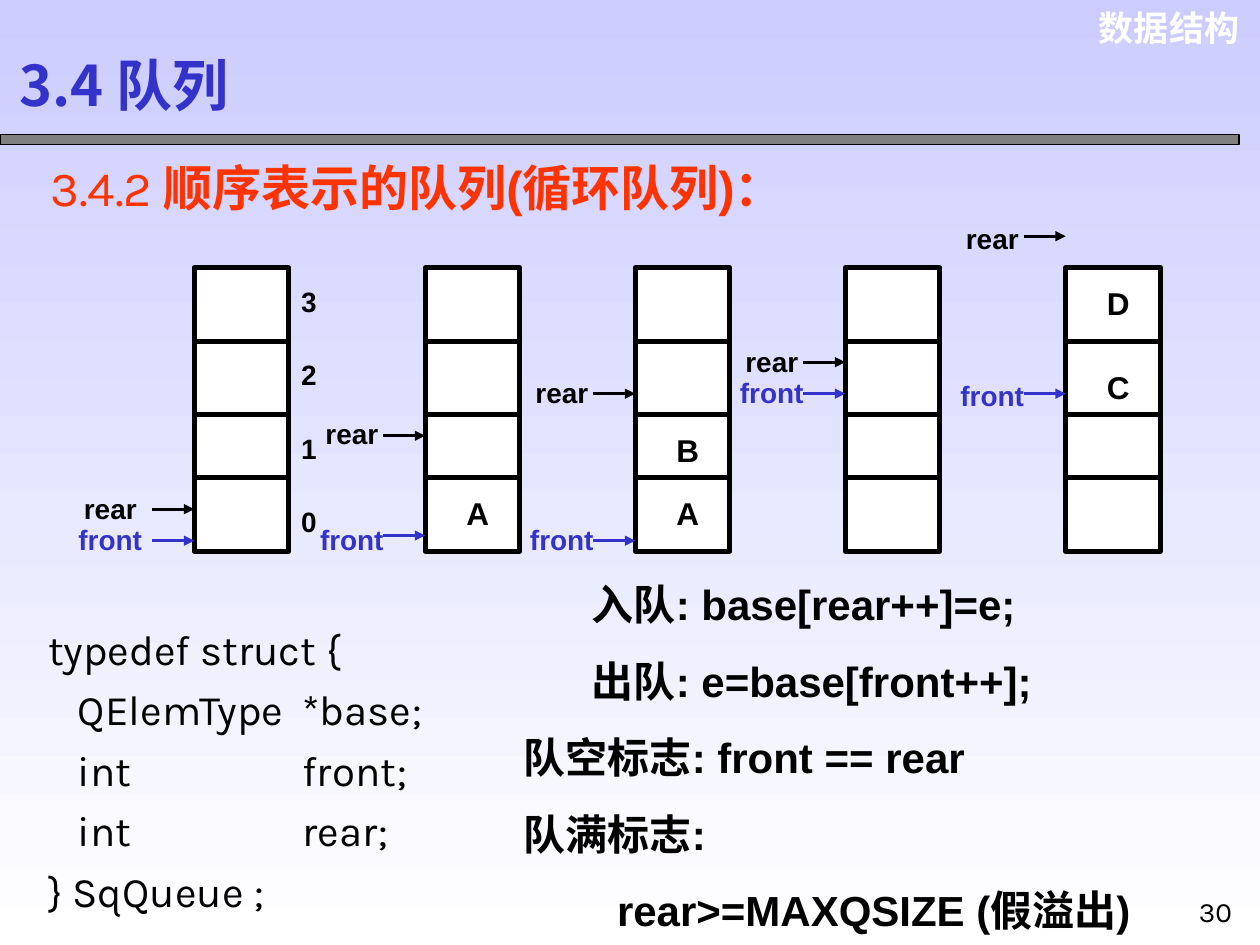
from dataclasses import dataclass

from lxml import etree
from pptx import Presentation
from pptx.dml.color import RGBColor
from pptx.enum.shapes import MSO_CONNECTOR, MSO_SHAPE
from pptx.enum.text import MSO_ANCHOR, PP_ALIGN
from pptx.oxml.ns import qn
from pptx.util import Inches, Pt

LINE = MSO_CONNECTOR.STRAIGHT
RECT = MSO_SHAPE.RECTANGLE
MIDDLE = MSO_ANCHOR.MIDDLE
LEFT, CENTER, RIGHT = PP_ALIGN.LEFT, PP_ALIGN.CENTER, PP_ALIGN.RIGHT


@dataclass(frozen=True)
class Theme:
    black: str = "000000"
    white: str = "FFFFFF"
    blue: str = "3333CC"
    red: str = "FF3300"
    gray: str = "808080"
    sky: str = "CCCCFF"
    sans: str = "Arial"
    light: str = "Karla"
    han: str = "Noto Sans CJK SC"
    title: int = 32
    head: int = 28
    body: int = 24
    top: int = 20
    cell: int = 18
    label: int = 16
    cols: int = 120
    rows: int = 90


class Board:
    """Draws styled elements on a slide, measured in grid columns and rows."""

    def __init__(self, deck, theme):
        self.theme = theme
        self.slide = deck.slides.add_slide(deck.slide_layouts[6])
        self.wide = deck.slide_width / theme.cols
        self.high = deck.slide_height / theme.rows
        fill = self.slide.background.fill
        fill.gradient()
        fill.gradient_angle = 270
        for stop, tint in zip(fill.gradient_stops, (theme.sky, theme.white)):
            stop.color.rgb = RGBColor.from_string(tint)

    def place(self, x, y, w, h):
        return [round(n) for n in (x * self.wide, y * self.high,
                                   w * self.wide, h * self.high)]

    def box(self, area, fill, width):
        shape = self.slide.shapes.add_shape(RECT, *self.place(*area))
        shape.shadow.inherit = False
        shape.fill.solid()
        shape.fill.fore_color.rgb = RGBColor.from_string(fill)
        shape.line.color.rgb = RGBColor.from_string(self.theme.black)
        shape.line.width = Pt(width)

    def line(self, x, y, w, color, width, arrow=False):
        ends = self.place(x, y, x + w, y)
        rule = self.slide.shapes.add_connector(LINE, *ends)
        rule.line.color.rgb = RGBColor.from_string(color)
        rule.line.width = Pt(width)
        if arrow:
            etree.SubElement(rule.line._get_or_add_ln(), qn("a:tailEnd"),
                             type="triangle")
        etree.SubElement(rule._element.spPr, qn("a:effectLst"))

    def run(self, para, words, size, font=None, color=None, bold=True):
        piece = para.add_run()
        piece.text = words
        style = piece.font
        style.size, style.bold = Pt(size), bold
        style.color.rgb = RGBColor.from_string(color or self.theme.black)
        style.name = font or self.theme.sans
        etree.SubElement(piece._r.get_or_add_rPr(), qn("a:ea"),
                         typeface=self.theme.han)

    def text(self, area, words, size, align=LEFT, anchor=None, gap=0,
             space=None, dents=(), tab=None, **style):
        frame = self.slide.shapes.add_textbox(*self.place(*area)).text_frame
        frame.word_wrap = True
        if anchor:
            frame.vertical_anchor = anchor
        for i, row in enumerate(words.split("\n")):
            para = frame.add_paragraph() if i else frame.paragraphs[0]
            para.alignment = align
            if space:
                para.line_spacing = space
            if i and gap:
                para.space_before = Pt(gap)
            props = para._p.get_or_add_pPr()
            if dents and dents[i]:
                props.set("marL", str(Inches(dents[i])))
                props.set("indent", "0")
            if tab:
                stops = etree.SubElement(props, qn("a:tabLst"))
                etree.SubElement(stops, qn("a:tab"), pos=str(Inches(tab)),
                                 algn="l")
            self.run(para, row, size, **style)
        return para

    def queue(self, x, items, marks):
        look = self.theme
        self.box((x, 25.5, 9, 27), look.white, 3)
        for y in (32.5, 39.5, 45.5):
            self.line(x, y, 9, look.black, 3)
        for y, name in items:
            self.text((x + 1, y, 8, 4.8), name, look.cell, align=CENTER)
        for name, color, tip, left, top in marks:
            self.line(x - 4, tip, 4, color, 1.5, arrow=True)
            self.text((x - left, top, 16, 4.4), name, look.label,
                      align=CENTER, color=color)


CODE = """typedef struct {
   QElemType\t*base;
   int\tfront;
   int\trear;
} SqQueue ;"""

RULES = """入队: base[rear++]=e;
出队: e=base[front++];
队空标志: front == rear
队满标志:
rear>=MAXQSIZE (假溢出)"""

A, B, C, D = (46.5, "A"), (40.5, "B"), (34.5, "C"), (26.5, "D")

# Each queue: left, items, label offset, then tip and label row per pointer.
QUEUES = [
    (18.5, [], 16, (48.5, 46.2), (51.5, 49.2)),
    (40.5, [A], 15, (41.5, 39.1), (51, 49.2)),
    (60.5, [A, B], 15, (37.5, 35.2), (51.5, 49.2)),
    (80.5, [], 15, (34.5, 32.2), (37.5, 35.2)),
    (101.5, [C, D], 15, (22.5, 20.5), (37.5, 35.5)),
]


def main():
    deck = Presentation()
    deck.slide_width, deck.slide_height = Inches(10), Inches(7.5)
    look = Theme()
    board = Board(deck, look)
    board.text((102.8, 0, 16.4, 5.3), "数据结构", look.top, align=RIGHT,
               color=look.white)
    board.box((0, 12.8, 118, 1), look.gray, 0.75)
    board.text((0.7, 3.6, 42.8, 8.9), "3.4 队列", look.title, anchor=MIDDLE,
               font=look.han, color=look.blue)
    head = board.text((3.6, 14.4, 78.7, 6.8), "3.4.2 ", look.head,
                      font=look.light, color=look.red, bold=False)
    board.run(head, "顺序表示的队列(循环队列)：", look.head, color=look.red)
    board.text((3.4, 57.8, 45.1, 30), CODE, look.body, space=1.2, tab=2.02,
               font=look.light, bold=False)
    board.text((48.7, 54.5, 70, 35.3), RULES, look.body, gap=15,
               dents=(0.54, 0.54, 0, 0, 0.74))
    for x, items, left, rear, front in QUEUES:
        board.queue(x, items, [("rear", look.black, rear[0], left, rear[1]),
                               ("front", look.blue, front[0], left, front[1])])
    for i in range(4):
        board.text((27.5, 26.5 + 7 * i, 4, 4.4), str(3 - i), look.label)
    board.text((113, 84.6, 6, 5), "30", look.label, font=look.light,
               bold=False)
    deck.save("out.pptx")


if __name__ == "__main__":
    main()
